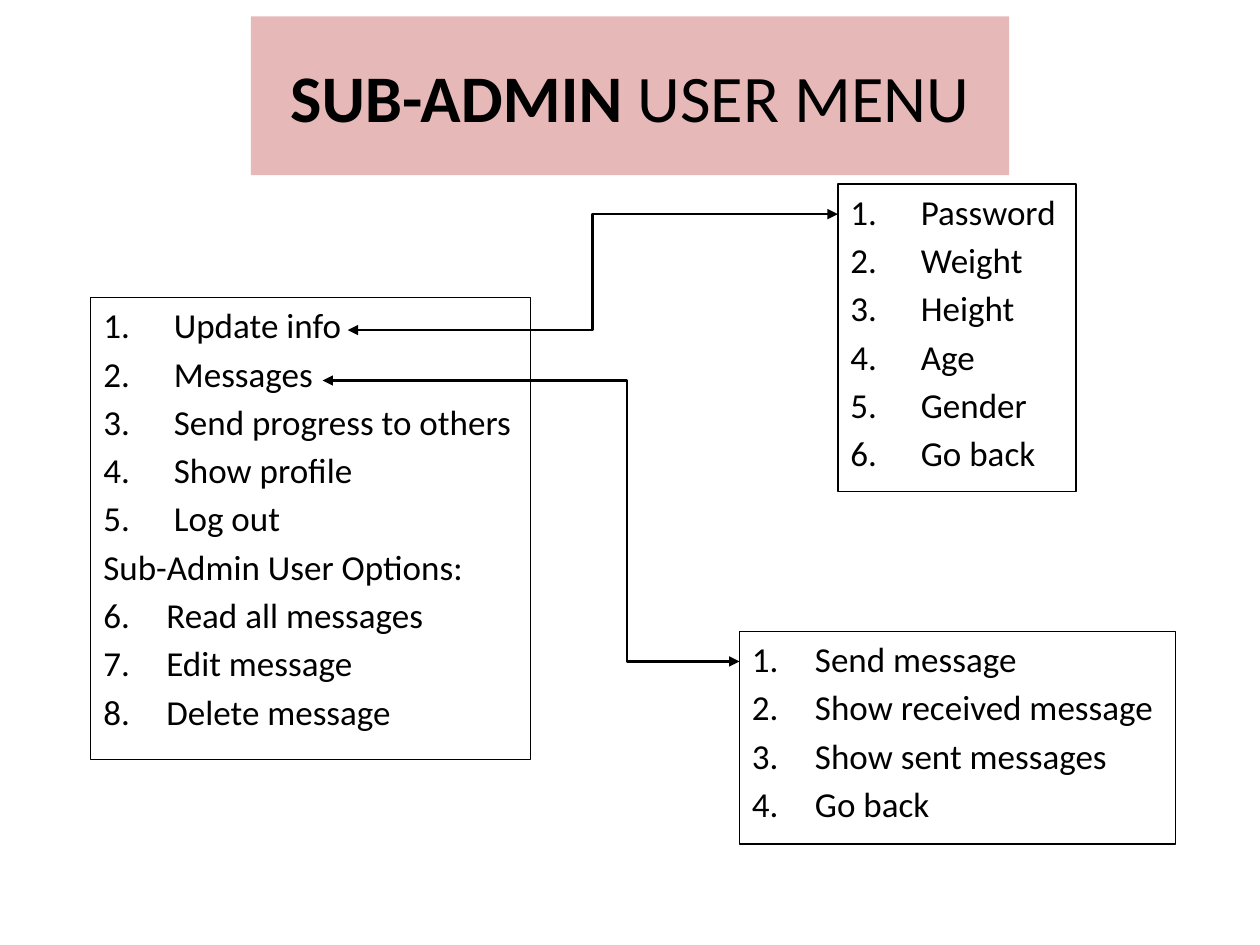
from lxml.etree import SubElement
from pptx import Presentation
from pptx.dml.color import RGBColor as RGB
from pptx.enum.shapes import MSO_CONNECTOR as CONN
from pptx.enum.text import MSO_ANCHOR as ANCHOR, MSO_AUTO_SIZE as FIT, PP_ALIGN as ALIGN
from pptx.oxml.ns import qn
from pptx.util import Inches, Pt

COLORS = {"ink": "000000", "banner": "E6B9B8"}
FONT = "Calibri"
WIDTH, HEIGHT = Inches(10), Inches(7.5)

TITLE = [("SUB-ADMIN", True), (" USER MENU", False)]
TITLE_BOX = (19.9, 1.73, 60.2, 16.8)

# Each group: first number (None for plain text), indent in inches, items
MENUS = [
    ((7.2, 31.47, 34.9, 48.93), [
        (1, 0.56, ["Update info", "Messages", "Send progress to others",
                   "Show profile", "Log out"]),
        (None, 0, ["Sub-Admin User Options:"]),
        (6, 0.5, ["Read all messages", "Edit message", "Delete message"]),
    ]),
    ((66.5, 19.47, 18.9, 32.53), [
        (1, 0.56, ["Password", "Weight", "Height", "Age", "Gender", "Go back"]),
    ]),
    ((58.7, 66.8, 34.6, 22.53), [
        (1, 0.5, ["Send message", "Show received message",
                  "Show sent messages", "Go back"]),
    ]),
]

LINKS = [
    ((27.6, 34.93), (66.5, 22.67), 0.5),
    ((25.6, 40.27), (58.7, 70), 0.73),
]


def color(name):
    return RGB.from_string(COLORS[name])


def place(*shares):
    return [int(size * share / 100)
            for size, share in zip((WIDTH, HEIGHT) * 2, shares)]


def move(sp, box):
    sp.left, sp.top, sp.width, sp.height = place(*box)


def add_run(p, text, size, bold=False):
    r = p.add_run()
    r.text = text
    r.font.name, r.font.size, r.font.bold = FONT, Pt(size), bold
    r.font.color.rgb = color("ink")


def number(p, start, indent):
    pPr = p._p.get_or_add_pPr()
    pPr.set("marL", str(Inches(indent)))
    pPr.set("indent", str(-Inches(indent)))
    if start is None:
        SubElement(pPr, qn("a:buNone"))
        return
    SubElement(pPr, qn("a:buFont"), typeface="+mj-lt")
    SubElement(pPr, qn("a:buAutoNum"), type="arabicPeriod", startAt=str(start))


def fill_menu(sp, groups):
    sp.line.color.rgb = color("ink")
    sp.line.width = Pt(0.75)
    tf = sp.text_frame
    tf.word_wrap, tf.auto_size = True, FIT.NONE
    tf.vertical_anchor = ANCHOR.TOP
    rows = [(start, indent, text) for start, indent, items in groups for text in items]
    for i, (start, indent, text) in enumerate(rows):
        p = tf.add_paragraph() if i else tf.paragraphs[0]
        p.space_before = Pt(3.6)
        number(p, start, indent)
        add_run(p, text, 20)


def add_link(s, start, end, bend):
    link = s.shapes.add_connector(CONN.ELBOW, *place(*start, *end))
    link.line.color.rgb = color("ink")
    link.line.width = Pt(1.5)
    ln = link.line._get_or_add_ln()
    for tag in ("a:headEnd", "a:tailEnd"):
        SubElement(ln, qn(tag), type="triangle")
    spPr = link._element.spPr
    SubElement(spPr, qn("a:effectLst"))
    SubElement(spPr.find(".//" + qn("a:avLst")), qn("a:gd"),
               name="adj1", fmla=f"val {round(bend * 100000)}")


def main():
    prs = Presentation()
    prs.slide_width, prs.slide_height = WIDTH, HEIGHT
    s = prs.slides.add_slide(prs.slide_layouts[1])

    title = s.shapes.title
    move(title, TITLE_BOX)
    title.fill.solid()
    title.fill.fore_color.rgb = color("banner")
    tf = title.text_frame
    tf.auto_size, tf.vertical_anchor = FIT.NONE, ANCHOR.MIDDLE
    p = tf.paragraphs[0]
    p.alignment = ALIGN.CENTER
    for text, bold in TITLE:
        add_run(p, text, 38, bold)

    for i, (box, groups) in enumerate(MENUS):
        sp = s.shapes.add_textbox(*place(*box)) if i else s.placeholders[1]
        move(sp, box)
        fill_menu(sp, groups)

    for link in LINKS:
        add_link(s, *link)

    prs.save("out.pptx")


if __name__ == "__main__":
    main()
